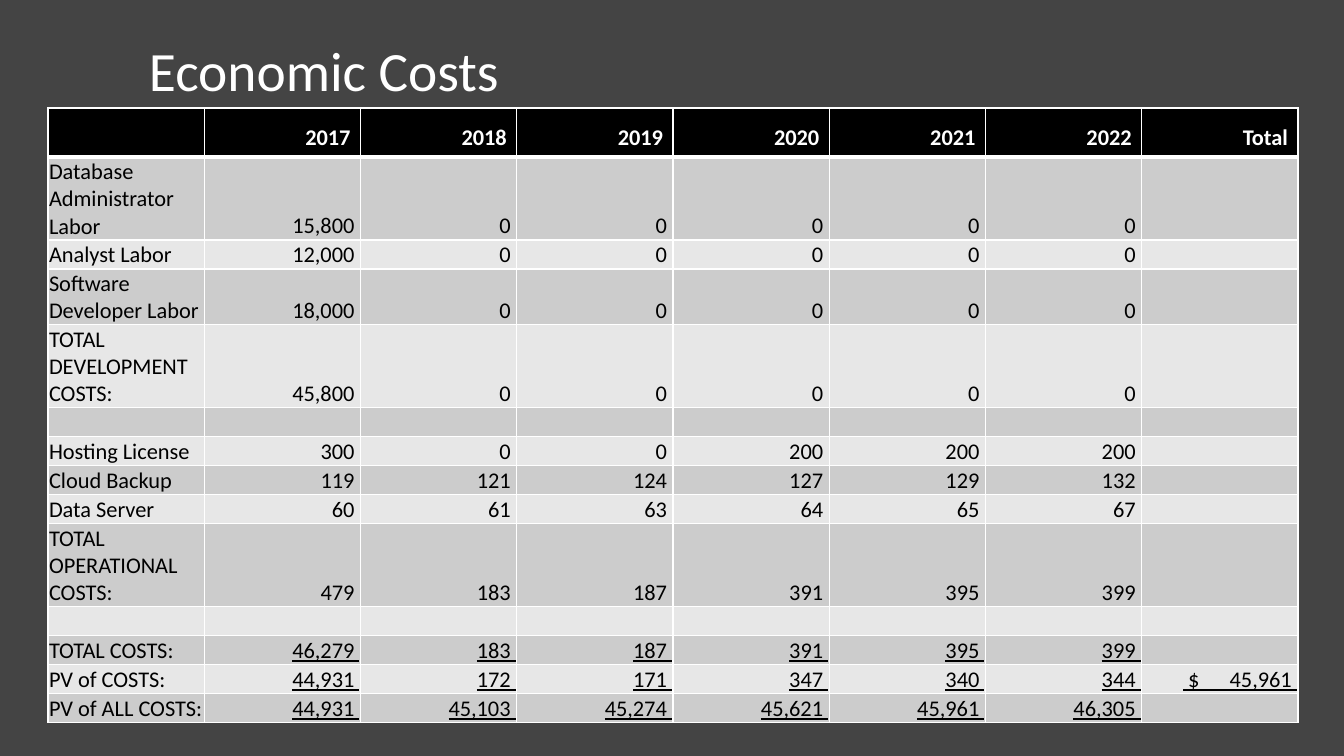
from lxml import etree
from pptx import Presentation
from pptx.dml.color import RGBColor
from pptx.enum.text import MSO_ANCHOR, PP_ALIGN
from pptx.oxml.ns import qn
from pptx.util import Pt

TITLE = "Economic Costs"
HEADER = ["", "2017", "2018", "2019", "2020", "2021", "2022", "Total"]
COSTS = [
    ("Database Administrator Labor", [15800, 0, 0, 0, 0, 0]),
    ("Analyst Labor", [12000, 0, 0, 0, 0, 0]),
    ("Software Developer Labor", [18000, 0, 0, 0, 0, 0]),
    ("TOTAL DEVELOPMENT COSTS:", [45800, 0, 0, 0, 0, 0]),
    ("", []),
    ("Hosting License", [300, 0, 0, 200, 200, 200]),
    ("Cloud Backup", [119, 121, 124, 127, 129, 132]),
    ("Data Server", [60, 61, 63, 64, 65, 67]),
    ("TOTAL OPERATIONAL COSTS:", [479, 183, 187, 391, 395, 399]),
    ("", []),
    ("TOTAL COSTS:", [46279, 183, 187, 391, 395, 399]),
    ("PV of COSTS:", [44931, 172, 171, 347, 340, 344]),
    ("PV of ALL COSTS:", [44931, 45103, 45274, 45621, 45961, 46305]),
]
GRAND_TOTALS = {"PV of COSTS:": " $      45,961 "}
UNDERLINED = {"TOTAL COSTS:", "PV of COSTS:", "PV of ALL COSTS:"}

THEME = {
    "font": "Calibri",
    "background": "444444",
    "light_text": "FFFFFF",
    "dark_text": "000000",
    "border": "FFFFFF",
    "header": "000000",
    "bands": ("CCCCCC", "E7E7E7"),
    "title_size": 39.6,
    "table_size": 16,
}

SLIDE_SIZE = (1344, 756)
TITLE_BOX = (139, 40, 1069, 68)
TABLE_BOX = (48, 108, 1250, 615)
HEADER_HEIGHT = 49
ROW_HEIGHT = 29
TALL_ROWS = {
    "Database Administrator Labor": 83,
    "Software Developer Labor": 56,
    "TOTAL DEVELOPMENT COSTS:": 83,
    "TOTAL OPERATIONAL COSTS:": 83,
}
HEADER_MARGINS = (10, 5, 10, 5)
BODY_MARGINS = (1, 1, 1, 0)

LEFT, RIGHT = PP_ALIGN.LEFT, PP_ALIGN.RIGHT
BOTTOM, MIDDLE = MSO_ANCHOR.BOTTOM, MSO_ANCHOR.MIDDLE
EMU_PER_PX = 914400 / 100.8


def px(length):
    return round(length * EMU_PER_PX)


def write(paragraph, text, *, size, color, align=LEFT, bold=False,
          underline=False, line_spacing=None):
    paragraph.alignment = align
    paragraph.line_spacing = line_spacing
    if not text:
        paragraph._p.get_or_add_endParaRPr().set("sz", str(size * 100))
        return
    run = paragraph.add_run()
    run.text = text
    run.font.name = THEME["font"]
    run.font.size = Pt(size)
    run.font.bold = bold
    run.font.underline = underline
    run.font.color.rgb = RGBColor.from_string(color)


def set_borders(cell, top, bottom):
    properties = cell._tc.get_or_add_tcPr()
    widths = {"a:lnL": 1, "a:lnR": 1, "a:lnT": top, "a:lnB": bottom}
    for position, (tag, width) in enumerate(widths.items()):
        line = etree.Element(qn(tag), w=str(Pt(width)))
        fill = etree.SubElement(line, qn("a:solidFill"))
        etree.SubElement(fill, qn("a:srgbClr"), val=THEME["border"])
        properties.insert(position, line)


def format_cell(cell, text, *, fill, margins, top=1, bottom=1, **text_format):
    cell.vertical_anchor = BOTTOM
    (cell.margin_left, cell.margin_top,
     cell.margin_right, cell.margin_bottom) = map(px, margins)
    cell.fill.solid()
    cell.fill.fore_color.rgb = RGBColor.from_string(fill)
    set_borders(cell, top, bottom)
    write(cell.text_frame.paragraphs[0], text,
          size=THEME["table_size"], **text_format)


def add_title(slide):
    frame = slide.shapes.add_textbox(*map(px, TITLE_BOX)).text_frame
    frame.word_wrap = True
    frame.vertical_anchor = MIDDLE
    write(frame.paragraphs[0], TITLE, size=THEME["title_size"],
          color=THEME["light_text"], line_spacing=0.9)


def add_costs(slide):
    table = slide.shapes.add_table(
        len(COSTS) + 1, len(HEADER), *map(px, TABLE_BOX)).table
    for column in table.columns:
        column.width = px(TABLE_BOX[2] / len(HEADER))

    table.rows[0].height = px(HEADER_HEIGHT)
    for column, text in enumerate(HEADER):
        format_cell(table.cell(0, column), text, fill=THEME["header"],
                    margins=HEADER_MARGINS, bottom=3, align=RIGHT, bold=True,
                    color=THEME["light_text"])

    for index, (label, values) in enumerate(COSTS):
        row = index + 1
        table.rows[row].height = px(TALL_ROWS.get(label, ROW_HEIGHT))
        amounts = [f"{value:,} " for value in values] or [""] * 6
        texts = [label, *amounts, GRAND_TOTALS.get(label, "")]
        for column, text in enumerate(texts):
            format_cell(table.cell(row, column), text,
                        fill=THEME["bands"][index % 2], margins=BODY_MARGINS,
                        top=3 if row == 1 else 1,
                        align=RIGHT if column else LEFT,
                        underline=column > 0 and label in UNDERLINED,
                        color=THEME["dark_text"])


def main():
    presentation = Presentation()
    presentation.slide_width, presentation.slide_height = map(px, SLIDE_SIZE)
    slide = presentation.slides.add_slide(presentation.slide_layouts[6])
    background = slide.background.fill
    background.solid()
    background.fore_color.rgb = RGBColor.from_string(THEME["background"])
    add_title(slide)
    add_costs(slide)
    presentation.save("out.pptx")


if __name__ == "__main__":
    main()
